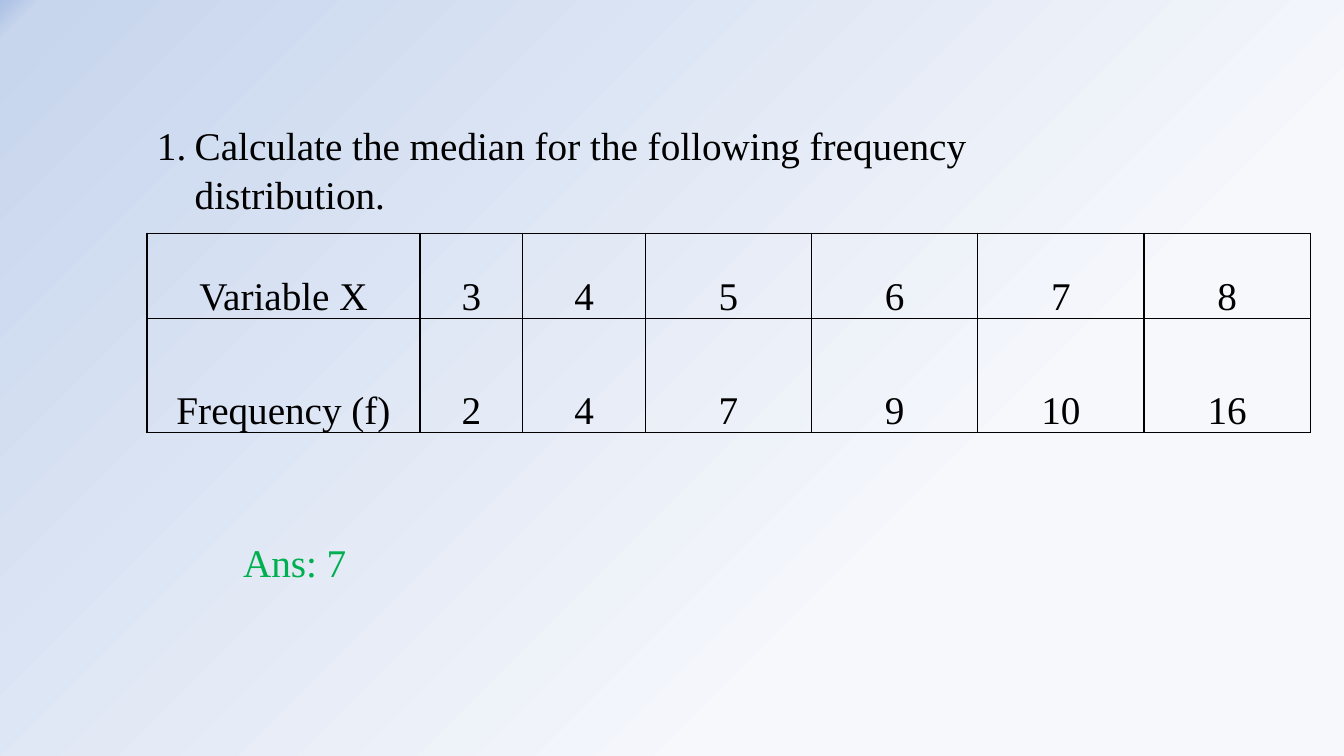
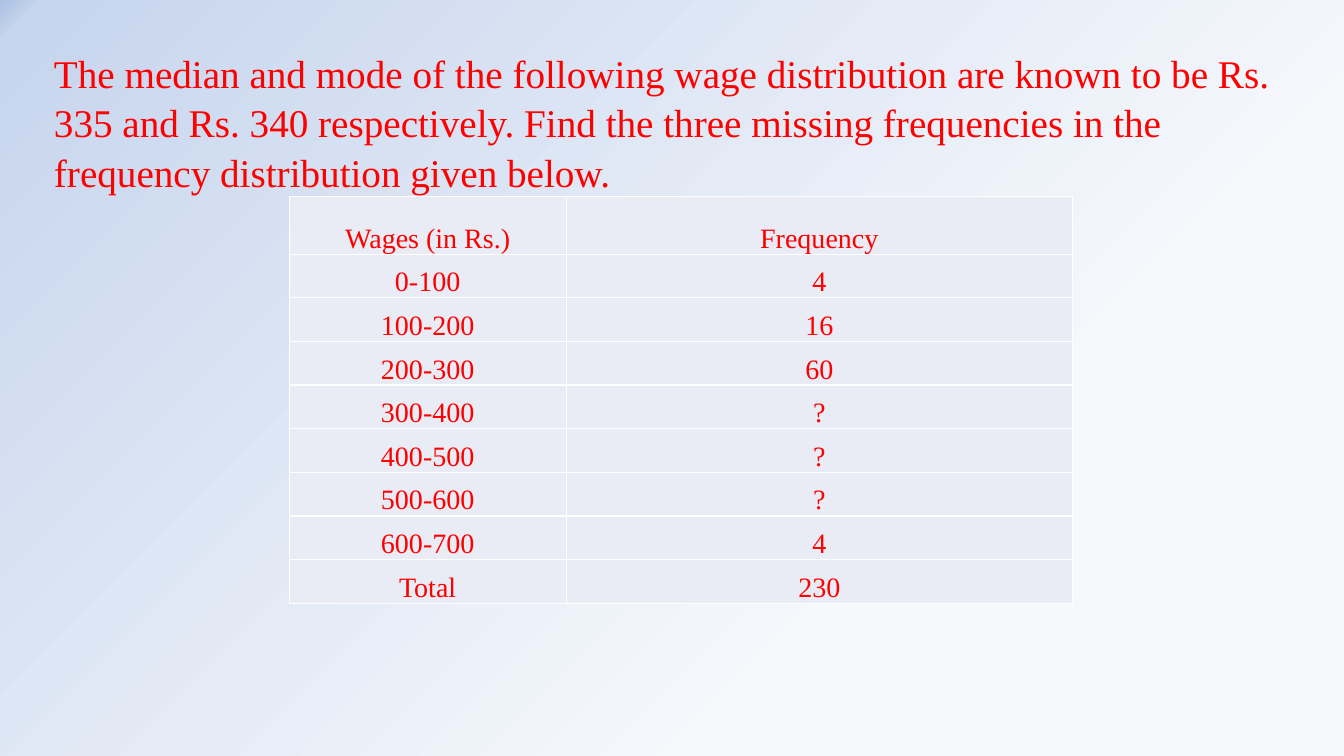
"""Build two statistics exercise slides on medians and missing frequencies."""
import dataclasses

import lxml.etree
import pptx
import pptx.dml.color
import pptx.enum.text
import pptx.oxml
import pptx.oxml.ns
import pptx.util

Pt = pptx.util.Pt
RGB = pptx.dml.color.RGBColor.from_string


@dataclasses.dataclass(frozen=True)
class Theme:
    font: str = "Times New Roman"
    black: str = "000000"
    red: str = "FF0000"
    green: str = "00B050"
    white: str = "FFFFFF"
    cell: str = "E9EBF5"
    backdrop: tuple = ((30, "F6F8FC"), (98, "C7D5ED"), (100, "ABC0E4"))
    body_size: int = 28
    table_size: int = 20
    line_spacing: float = 1.05


theme = Theme()


def add_text(page, left, top, width, height, text, color):
    box = page.shapes.add_textbox(Pt(left), Pt(top), Pt(width), Pt(height))
    box.text_frame.word_wrap = True
    para = box.text_frame.paragraphs[0]
    para.text = text
    para.line_spacing = theme.line_spacing
    para.font.name = theme.font
    para.font.size = Pt(theme.body_size)
    para.font.color.rgb = RGB(color)
    return para


def add_grid(page, left, top, widths, heights, rows, size, color, border, fill=None):
    frame = page.shapes.add_table(len(rows), len(widths), Pt(left), Pt(top),
                                  Pt(sum(widths)), Pt(sum(heights)))
    table = frame.table
    table.first_row = table.horz_banding = False
    for column, width in zip(table.columns, widths):
        column.width = Pt(width)
    for row, height, values in zip(table.rows, heights, rows):
        row.height = Pt(height)
        for cell, value in zip(row.cells, values):
            cell.margin_left = cell.margin_right = cell.margin_top = Pt(0.7)
            cell.margin_bottom = 0
            cell.vertical_anchor = pptx.enum.text.MSO_ANCHOR.BOTTOM
            if fill:
                cell.fill.solid()
                cell.fill.fore_color.rgb = RGB(fill)
            else:
                cell.fill.background()
            properties = cell._tc.get_or_add_tcPr()
            for index, side in enumerate(("lnL", "lnR", "lnT", "lnB")):
                properties.insert(index, pptx.oxml.parse_xml(
                    f'<a:{side} {pptx.oxml.ns.nsdecls("a")} w="{Pt(1)}"><a:solidFill>'
                    f'<a:srgbClr val="{border}"/></a:solidFill></a:{side}>'))
            para = cell.text_frame.paragraphs[0]
            para.text = value
            para.alignment = pptx.enum.text.PP_ALIGN.CENTER
            para.font.name = theme.font
            para.font.size = Pt(size)
            para.font.color.rgb = RGB(color)


deck = pptx.Presentation()
deck.slide_width, deck.slide_height = Pt(960), Pt(540)
blank = deck.slide_layouts[6]

master = deck.slide_master
master.background.fill.solid()
background = master.element.xpath("p:cSld/p:bg/p:bgPr")[0]
stops = "".join(f'<a:gs pos="{position * 1000}"><a:srgbClr val="{color}"/></a:gs>'
                for position, color in theme.backdrop)
background.replace(background[0], pptx.oxml.parse_xml(
    f'<a:gradFill {pptx.oxml.ns.nsdecls("a")} rotWithShape="1"><a:gsLst>{stops}</a:gsLst>'
    '<a:path path="circle"><a:fillToRect l="100000" t="100000"/></a:path></a:gradFill>'))

page = deck.slides.add_slide(blank)
question = add_text(page, 105, 81.5, 688, 75,
                    "Calculate the median for the following frequency distribution.", theme.black)
numbering = question._p.get_or_add_pPr()
numbering.set("marL", str(Pt(27)))
numbering.set("indent", str(-Pt(27)))
bullet = pptx.oxml.parse_xml(
    f'<a:buAutoNum {pptx.oxml.ns.nsdecls("a")} type="arabicPeriod"/>')
numbering.find(pptx.oxml.ns.qn("a:defRPr")).addprevious(bullet)
add_grid(page, 105, 166.5, [195, 73.5, 87.5] + [118.75] * 4, [61, 81.5],
         [["Variable X", "3", "4", "5", "6", "7", "8"],
          ["Frequency (f)", "2", "4", "7", "9", "10", "16"]],
         theme.body_size, theme.black, theme.black)
add_text(page, 166.5, 379.5, 480, 41, "Ans: 7", theme.green)

page = deck.slides.add_slide(blank)
add_text(page, 31.5, 30, 885.5, 108,
         "The median and mode of the following wage distribution are known to be Rs. 335 "
         "and Rs. 340 respectively. Find the three missing frequencies in the frequency "
         "distribution given below.", theme.red)
frequencies = ["4", "16", "60", "?", "?", "?", "4"]
wages = [[f"{index * 100}-{(index + 1) * 100}", frequency]
         for index, frequency in enumerate(frequencies)]
add_grid(page, 206.5, 140.5, [198, 361.5], [41] + [31.2] * 8,
         [["Wages (in Rs.)", "Frequency"], *wages, ["Total", "230"]],
         theme.table_size, theme.red, theme.white, theme.cell)

deck.save("out.pptx")
